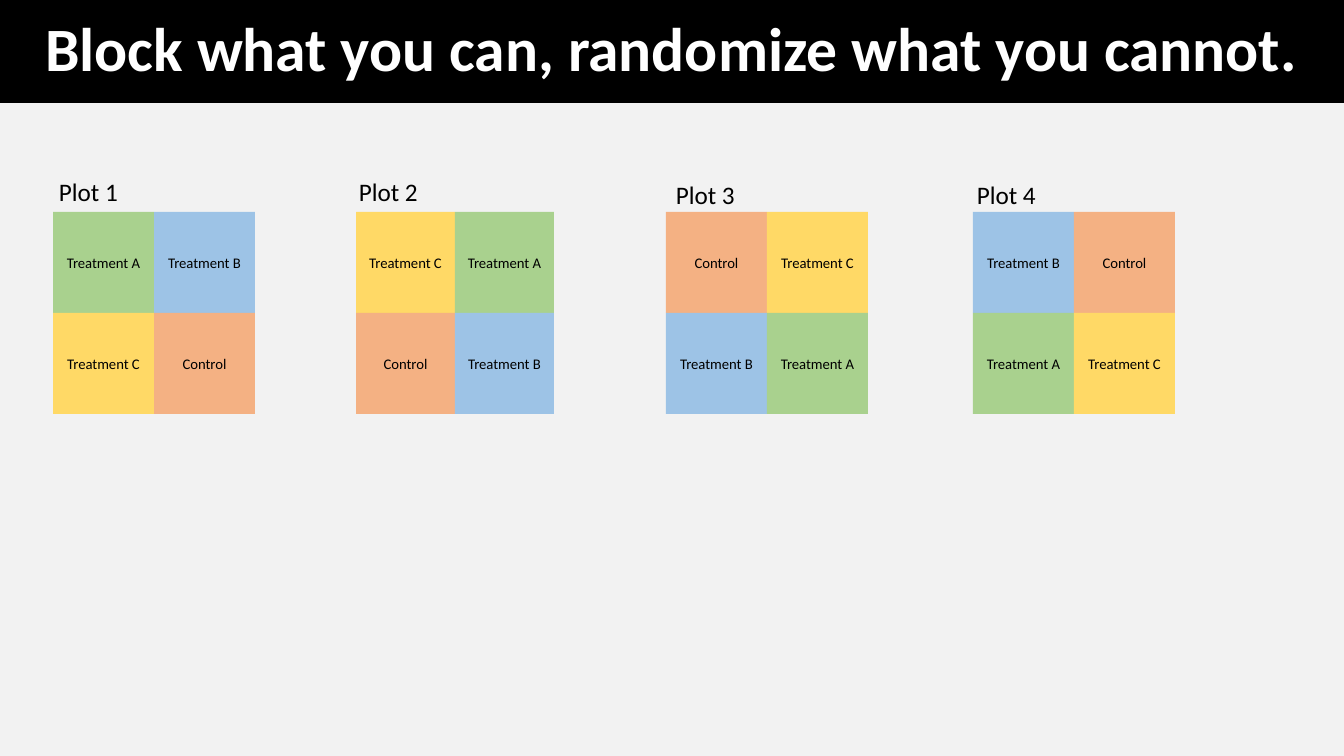
import pptx
import pptx.dml.color
import pptx.enum.shapes
import pptx.enum.text
import pptx.util

ALIGN = pptx.enum.text.PP_ALIGN
ANCHOR = pptx.enum.text.MSO_ANCHOR
EMU_PER_PX = 914400 / 100.8


def px(length):
    return pptx.util.Emu(round(length * EMU_PER_PX))


def colour(hex_string):
    return pptx.dml.color.RGBColor.from_string(hex_string)


class Deck:
    """Holds the style and the current slide."""
    font = "Calibri"
    black, white, paper = "000000", "FFFFFF", "F2F2F2"
    fills = {
        "Treatment A": "A9D18E",
        "Treatment B": "9DC3E6",
        "Treatment C": "FFD966",
        "Control": "F4B183",
    }

    def __init__(self, width, height):
        self.file = pptx.Presentation()
        self.file.slide_width = px(width)
        self.file.slide_height = px(height)
        self.slide = self.file.slides.add_slide(self.file.slide_layouts[6])
        background = self.slide.background.fill
        background.solid()
        background.fore_color.rgb = colour(self.paper)

    def add_words(self, paragraph, words, size, ink, bold=False):
        run = paragraph.add_run()
        run.text = words
        run.font.name = self.font
        run.font.size = pptx.util.Pt(size)
        run.font.bold = bold
        run.font.color.rgb = colour(ink)

    def box(self, shapes, place, fill, words, size, ink, bold=False):
        rectangle = shapes.add_shape(
            pptx.enum.shapes.MSO_SHAPE.RECTANGLE, *map(px, place))
        rectangle.shadow.inherit = False
        rectangle.fill.solid()
        rectangle.fill.fore_color.rgb = colour(fill)
        rectangle.line.fill.background()
        frame = rectangle.text_frame
        frame.word_wrap = True
        frame.vertical_anchor = ANCHOR.MIDDLE
        paragraph = frame.paragraphs[0]
        paragraph.alignment = ALIGN.CENTER
        self.add_words(paragraph, words, size, ink, bold)
        return paragraph

    def title(self, place, words):
        paragraph = self.box(self.slide.shapes, place, self.black, words,
                             44, self.white, True)
        paragraph.line_spacing = 0.9

    def label(self, place, words):
        frame = self.slide.shapes.add_textbox(*map(px, place)).text_frame
        frame.word_wrap = True
        frame.auto_size = pptx.enum.text.MSO_AUTO_SIZE.SHAPE_TO_FIT_TEXT
        self.add_words(frame.paragraphs[0], words, 18, self.black)

    def plot(self, left, top, cell_width, cell_height, treatments):
        """Draws four treatments, row by row, as one group."""
        block = self.slide.shapes.add_group_shape()
        for index, treatment in enumerate(treatments):
            row, column = divmod(index, 2)
            place = (left + column * cell_width, top + row * cell_height,
                     cell_width, cell_height)
            self.box(block.shapes, place, self.fills[treatment],
                     treatment, 10.5, self.black)


def main():
    deck = Deck(1344, 756)

    # Title band
    deck.title((0, 0, 1344, 103),
               "Block what you can, randomize what you cannot.")

    # Plots: left, cell width, label left, label top, treatments
    plots = [
        (53, 101, 49, 171,
         ("Treatment A", "Treatment B", "Treatment C", "Control")),
        (356, 99, 349, 171,
         ("Treatment C", "Treatment A", "Control", "Treatment B")),
        (666, 101, 666, 174,
         ("Control", "Treatment C", "Treatment B", "Treatment A")),
        (973, 101, 967, 174,
         ("Treatment B", "Control", "Treatment A", "Treatment C")),
    ]
    for number, plot in enumerate(plots, 1):
        left, cell_width, label_left, label_top, treatments = plot
        deck.plot(left, 212, cell_width, 101, treatments)
        deck.label((label_left, label_top, 92, 40), f"Plot {number}")

    deck.file.save("out.pptx")


if __name__ == "__main__":
    main()
